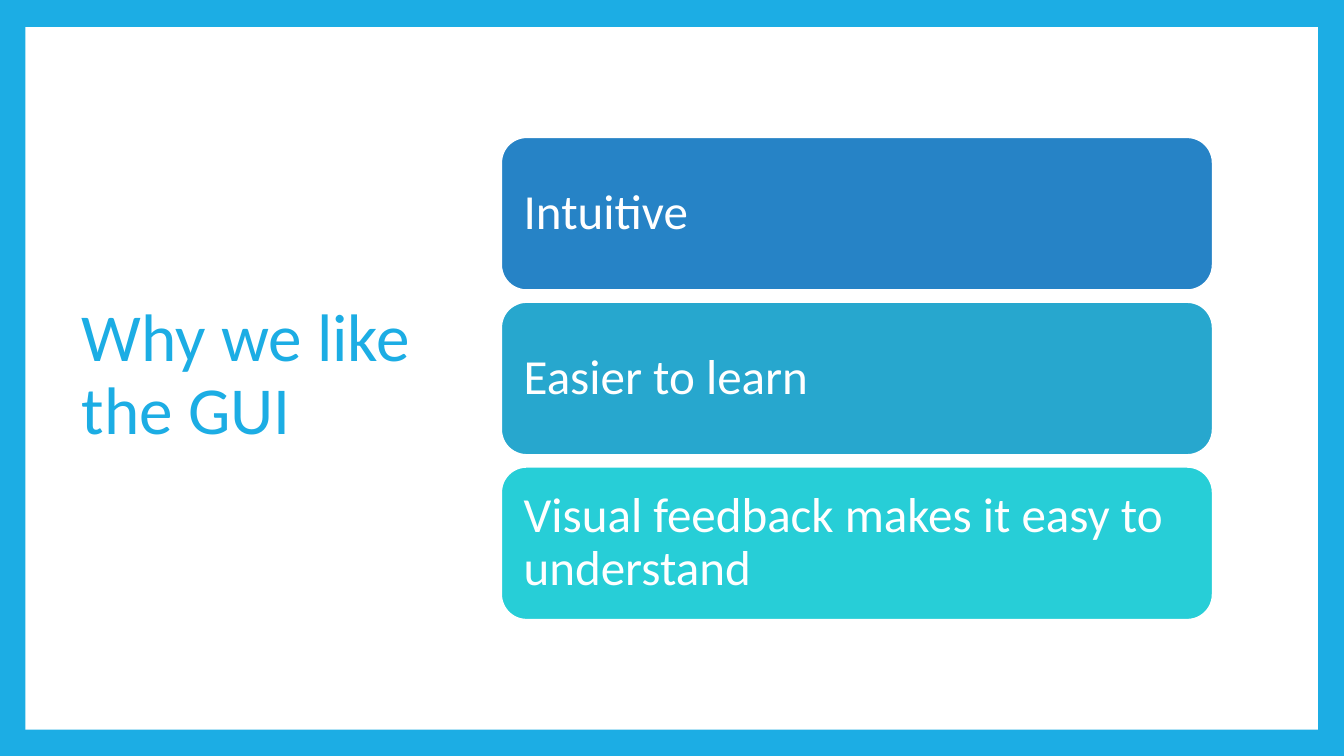
from dataclasses import dataclass

from pptx import Presentation
from pptx.dml.color import RGBColor
from pptx.enum.shapes import MSO_SHAPE
from pptx.enum.text import MSO_ANCHOR, MSO_AUTO_SIZE, PP_ALIGN
from pptx.util import Inches, Pt

RECT, ROUND = MSO_SHAPE.RECTANGLE, MSO_SHAPE.ROUNDED_RECTANGLE
MIDDLE, LEFT, NO_FIT = MSO_ANCHOR.MIDDLE, PP_ALIGN.LEFT, MSO_AUTO_SIZE.NONE
TITLE_ONLY = 5


@dataclass(frozen=True)
class Theme:
    font: str = "Calibri"
    accent: str = "1CADE4"
    white: str = "FFFFFF"
    cards: tuple = ("2683C6", "27A7CE", "27CED7")
    title_size: int = 48
    card_size: int = 35
    card_line: float = 1.5
    card_inset: float = 0.15


class Deck:
    """Draws slide elements placed in percent of the slide's width and height."""

    def __init__(self, theme):
        self.theme = theme
        self.prs = Presentation()
        self.prs.slide_width, self.prs.slide_height = Inches(13.33), Inches(7.5)
        self.s = self.prs.slides.add_slide(self.prs.slide_layouts[TITLE_ONLY])
        self.fill(self.s.background, theme.accent)

    def box(self, x, y, w, h):
        across, down = self.prs.slide_width / 100, self.prs.slide_height / 100
        return int(x * across), int(y * down), int(w * across), int(h * down)

    def fill(self, target, color):
        target.fill.solid()
        target.fill.fore_color.rgb = RGBColor.from_string(color)

    def set_text(self, sp, text, size, color):
        tf = sp.text_frame
        tf.word_wrap, tf.auto_size, tf.vertical_anchor = True, NO_FIT, MIDDLE
        p = tf.paragraphs[0]
        p.text, p.alignment, p.line_spacing = text, LEFT, 0.9
        p.font.name, p.font.size = self.theme.font, Pt(size)
        p.font.color.rgb = RGBColor.from_string(color)
        return tf

    def shape(self, kind, area, color):
        sp = self.s.shapes.add_shape(kind, *self.box(*area))
        sp.shadow.inherit = False
        self.fill(sp, color)
        return sp

    def panel(self, *area):
        sp = self.shape(RECT, area, self.theme.white)
        sp.line.fill.background()
        self.s.shapes.title._element.addprevious(sp._element)

    def title(self, text, *area):
        sp = self.s.shapes.title
        sp.left, sp.top, sp.width, sp.height = self.box(*area)
        self.set_text(sp, text, self.theme.title_size, self.theme.accent)

    def card(self, text, color, *area):
        t = self.theme
        sp = self.shape(ROUND, area, color)
        sp.line.color.rgb = RGBColor.from_string(t.white)
        sp.line.width = Pt(t.card_line)
        tf = self.set_text(sp, text, t.card_size, t.white)
        tf.margin_left = tf.margin_right = Inches(t.card_inset)
        tf.margin_top = tf.margin_bottom = Inches(t.card_inset)


def main():
    theme = Theme()
    deck = Deck(theme)
    deck.panel(1.88, 3.6, 96.17, 92.93)
    deck.title("Why we like the GUI", 5.33, 8.93, 27.61, 81.73)
    reasons = (
        "Intuitive",
        "Easier to learn",
        "Visual feedback makes it easy to understand",
    )
    top, height, pitch = 18.13, 20.27, 21.8
    for row, (reason, color) in enumerate(zip(reasons, theme.cards)):
        deck.card(reason, color, 37.28, top + row * pitch, 52.96, height)
    deck.prs.save("out.pptx")


if __name__ == "__main__":
    main()
